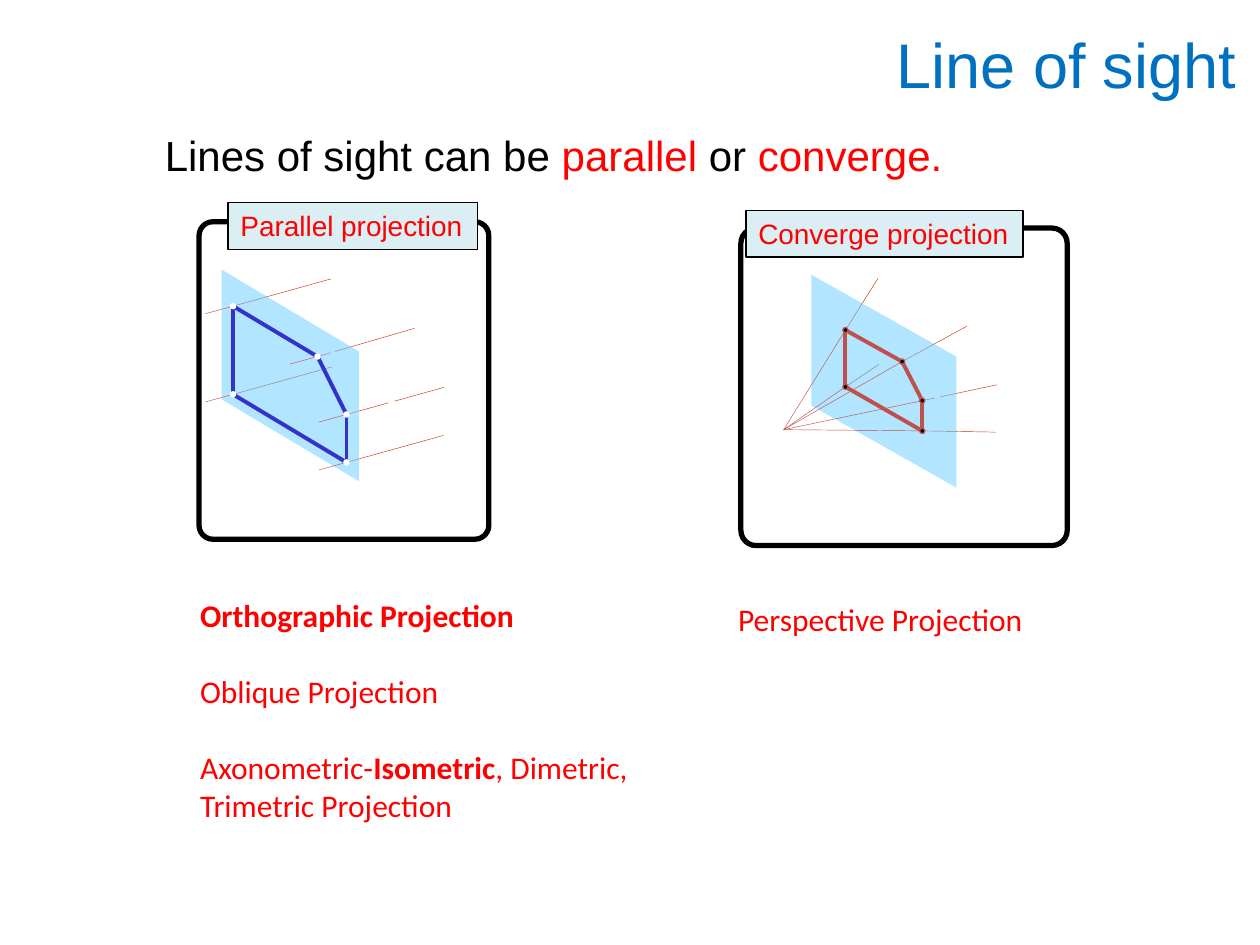
from lxml import etree
from pptx import Presentation
from pptx.dml.color import RGBColor
from pptx.enum.shapes import MSO_CONNECTOR, MSO_SHAPE
from pptx.enum.text import MSO_AUTO_SIZE, PP_ALIGN
from pptx.oxml.ns import qn
from pptx.util import Inches, Pt

STRAIGHT = MSO_CONNECTOR.STRAIGHT
ROUNDED = MSO_SHAPE.ROUNDED_RECTANGLE
OVAL = MSO_SHAPE.OVAL
FIT_SHAPE = MSO_AUTO_SIZE.SHAPE_TO_FIT_TEXT
RIGHT = PP_ALIGN.RIGHT

COLORS = {
    "title": "0070C0", "black": "000000", "red": "FF0000", "white": "FFFFFF",
    "label": "DBEEF4", "plane": "66CCFF", "sight": "CC3300",
    "ray": "C0504D", "blue": "3333CC",
}
COLORS = {name: RGBColor.from_string(value) for name, value in COLORS.items()}

deck = Presentation()
deck.slide_width, deck.slide_height = Inches(10), Inches(7.5)
page = deck.slides.add_slide(deck.slide_layouts[6])


def add_text(place, paragraphs, font, size, wrap=False):
    """Each paragraph is a list of (text, color name, bold) spans."""
    box = page.shapes.add_textbox(*map(Inches, place))
    frame = box.text_frame
    frame.word_wrap = wrap
    frame.auto_size = FIT_SHAPE
    for index, spans in enumerate(paragraphs):
        para = frame.add_paragraph() if index else frame.paragraphs[0]
        for text, color, bold in spans:
            span = para.add_run()
            span.text = text
            span.font.name, span.font.size = font, Pt(size)
            span.font.bold = bold
            span.font.color.rgb = COLORS[color]
    return box


def add_line(start, end, color, width):
    line = page.shapes.add_connector(STRAIGHT, *map(Inches, (*start, *end)))
    line.line.color.rgb = COLORS[color]
    line.line.width = Pt(width)
    etree.SubElement(line._element.spPr, qn("a:effectLst"))


title = add_text((6.97, 0.15, 2.94, 0.7),
                 [[("Line of sight", "title", False)]], "Arial", 36)
title.text_frame.paragraphs[0].alignment = RIGHT

intro = add_text((1.21, 0.82, 6.4, 0.66), [[
    ("Lines of sight can be ", "black", False), ("parallel ", "red", False),
    ("or ", "black", False), ("converge.", "red", False)]], "Arial", 24)
intro.text_frame.paragraphs[0].line_spacing = 1.4

# Points run clockwise from top left; view holds where each ray ends.
parallel_image = [(1.85, 2.43), (2.52, 2.83), (2.75, 3.29), (2.75, 3.67), (1.85, 3.13)]
projections = [
    {
        "name": "Converge projection", "label": (5.92, 1.67, 2.2, 0.37),
        "frame": (5.88, 1.81, 2.59, 2.52),
        "plane": [(6.44, 2.18), (7.59, 2.83), (7.59, 3.87), (6.44, 3.22)],
        "object": [(6.98, 2.19), (7.69, 2.58), (7.93, 3.05), (7.93, 3.43), (6.98, 2.89)],
        "image": [(6.71, 2.62), (7.16, 2.87), (7.32, 3.18), (7.32, 3.42), (6.71, 3.07)],
        "view": [(6.22, 3.41)] * 5, "outline": "ray", "dot": "black", "dot_line": "ray",
    },
    {
        "name": "Parallel projection", "label": (1.81, 1.61, 1.98, 0.37),
        "frame": (1.58, 1.76, 2.3, 2.52),
        "plane": [(1.76, 2.14), (2.85, 2.79), (2.85, 3.82), (1.76, 3.17)],
        "object": [(2.64, 2.21), (3.31, 2.6), (3.54, 3.07), (3.54, 3.45), (2.64, 2.91)],
        "image": parallel_image,
        "view": [(x - 0.22, y + 0.06) for x, y in parallel_image],
        "outline": "blue", "dot": "white", "dot_line": "white",
    },
]
DEPTH_X, DEPTH_Y = 0.25, -0.07
DOT = 0.04

for projection in projections:
    frame = page.shapes.add_shape(ROUNDED, *map(Inches, projection["frame"]))
    frame.adjustments[0] = 0.048
    frame.shadow.inherit = False
    frame.fill.background()
    frame.line.color.rgb = COLORS["black"]
    frame.line.width = Pt(3)

    front, image = projection["object"], projection["image"]
    back = [(x + DEPTH_X, y + DEPTH_Y) for x, y in front[:4]]
    for start, end in zip(front, image):
        add_line(start, end, "sight", 0.25)
    edges = [*zip(front, front[1:] + front[:1]), *zip(back, back[1:]), *zip(front, back)]
    for start, end in edges:
        add_line(start, end, "white", 2.25)

    corners = [(Inches(x), Inches(y)) for x, y in projection["plane"]]
    builder = page.shapes.build_freeform(*corners[0])
    builder.add_line_segments(corners[1:], close=True)
    plane = builder.convert_to_shape()
    plane.shadow.inherit = False
    plane.line.fill.background()
    plane.fill.solid()
    plane.fill.fore_color.rgb = COLORS["plane"]
    plane_color = plane._element.spPr.find(".//" + qn("a:srgbClr"))
    etree.SubElement(plane_color, qn("a:alpha"), val="50000")

    for start, end in zip(image, image[1:] + image[:1]):
        add_line(start, end, projection["outline"], 2.25)
    for (x, y), end in zip(image, projection["view"]):
        add_line((x, y), end, "ray", 0.25)
        dot = page.shapes.add_shape(
            OVAL, *map(Inches, (x - DOT / 2, y - DOT / 2, DOT, DOT)))
        dot.shadow.inherit = False
        dot.fill.solid()
        dot.fill.fore_color.rgb = COLORS[projection["dot"]]
        dot.line.color.rgb = COLORS[projection["dot_line"]]
        dot.line.width = Pt(0.75)

    label = add_text(projection["label"], [[(projection["name"], "red", False)]], "Arial", 16)
    label.fill.solid()
    label.fill.fore_color.rgb = COLORS["label"]
    label.line.color.rgb = COLORS["black"]
    label.line.width = Pt(0.75)

kinds = add_text((1.49, 4.68, 3.64, 2.8), [
    [("Orthographic Projection", "red", True)],
    [("Oblique Projection", "red", False)],
    [("Axonometric-", "red", False), ("Isometric", "red", True),
     (", Dimetric, Trimetric Projection", "red", False)],
], "Calibri", 18, wrap=True)
for para in kinds.text_frame.paragraphs[1:]:
    para.space_before = Pt(22)

add_text((5.76, 4.71, 3.67, 0.7),
         [[("Perspective Projection", "red", False)]], "Calibri", 18, wrap=True)

deck.save("out.pptx")
